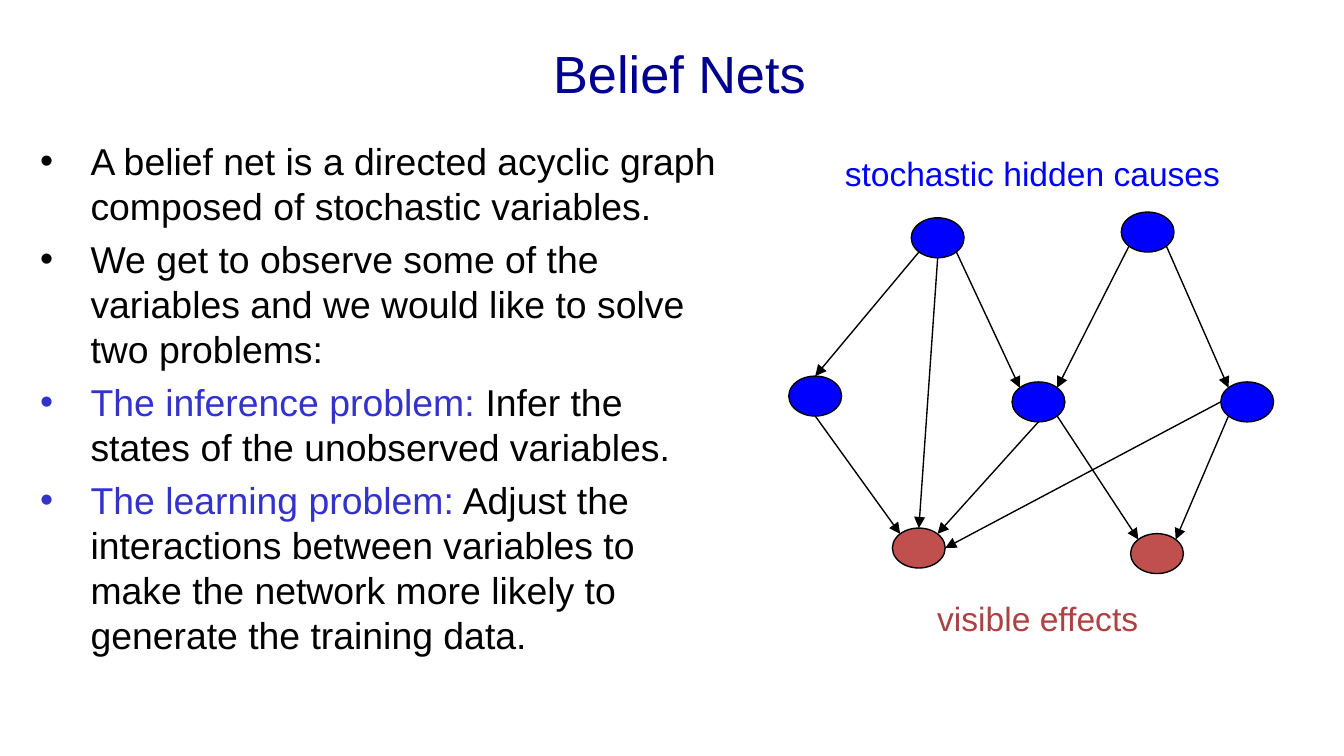
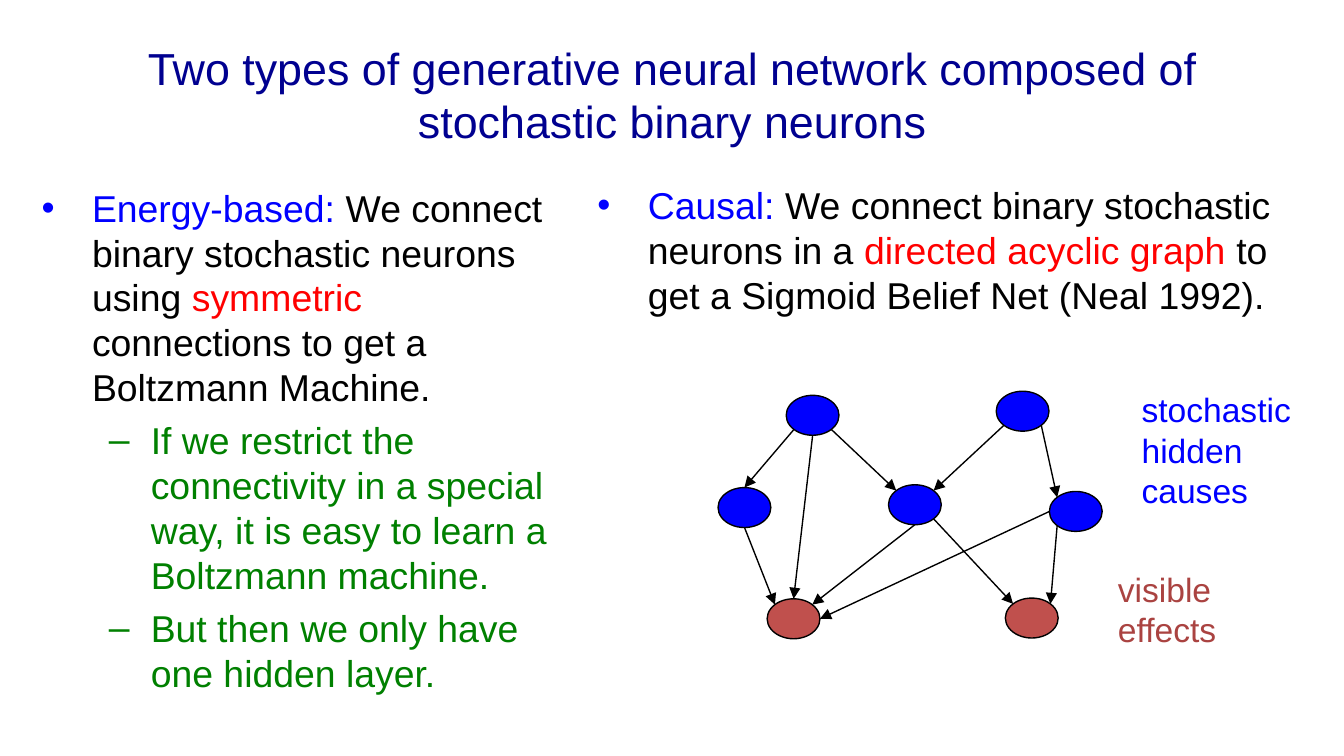
from lxml import etree
from pptx import Presentation
from pptx.dml.color import RGBColor
from pptx.enum.shapes import MSO_CONNECTOR, MSO_SHAPE
from pptx.enum.text import MSO_ANCHOR, PP_ALIGN
from pptx.oxml.ns import qn
from pptx.util import Pt

ELLIPSE = MSO_SHAPE.OVAL
STRAIGHT = MSO_CONNECTOR.STRAIGHT
CENTER = PP_ALIGN.CENTER
MIDDLE = MSO_ANCHOR.MIDDLE

FONT = "Arial"
COLORS = {
    "title": "000090",
    "text": "000000",
    "problem": "3333CC",
    "hidden": "0000FF",
    "visible": "C0504D",
    "visible_label": "AA4341",
    "emphasis": "FF0000",
    "detail": "008000",
    "line": "000000",
}
BODY_SIZE, LABEL_SIZE, LINE_WIDTH = 20, 18, 0.75
PARAGRAPH_GAP = 4.5
NODE_WIDTH, NODE_HEIGHT = 28.3, 21.4

# Bullet character, left margin and hanging indent for each level
LEVELS = [("•", 27, -27), ("–", 58.5, -22.5)]

# Places on a node's rim, as fractions of its half width and half height
DIAGONAL = 0.5 ** 0.5
RIM = {
    "N": (0, -1), "S": (0, 1), "W": (-1, 0), "E": (1, 0),
    "NW": (-DIAGONAL, -DIAGONAL), "NE": (DIAGONAL, -DIAGONAL),
    "SW": (-DIAGONAL, DIAGONAL), "SE": (DIAGONAL, DIAGONAL),
}

# Both networks have the same arrows: (node, rim place) to (node, rim place)
EDGES = [
    ("cause 1", "SW", "middle 1", "N"),
    ("cause 1", "S", "effect 1", "N"),
    ("cause 1", "SE", "middle 2", "NW"),
    ("cause 2", "SW", "middle 2", "NE"),
    ("cause 2", "SE", "middle 3", "NW"),
    ("middle 1", "S", "effect 1", "NW"),
    ("middle 2", "S", "effect 1", "NE"),
    ("middle 2", "SE", "effect 2", "NW"),
    ("middle 3", "W", "effect 1", "E"),
    ("middle 3", "SW", "effect 2", "NE"),
]

# Boxes are (left, top, width, height); a paragraph is (level, [(text, colour)])
SLIDES = [
    {
        "title": ("Belief Nets", 28, (40, 5, 648, 67.7)),
        "bodies": [
            ((14.4, 70.6, 383, 332), [
                (0, [("A belief net is a directed acyclic graph composed of "
                      "stochastic variables.", "text")]),
                (0, [("We get to observe some of the variables and we would "
                      "like to solve two problems:", "text")]),
                (0, [("The inference problem:", "problem"),
                     (" Infer the states of the unobserved variables.", "text")]),
                (0, [("The learning problem:", "problem"),
                     (" Adjust the interactions between variables to make the "
                      "network more likely to generate the training data.", "text")]),
            ]),
        ],
        "nodes": {
            "cause 1": (488.2, 116.7), "cause 2": (600.7, 113.6),
            "middle 1": (422.6, 201.5), "middle 2": (542.2, 204.6),
            "middle 3": (654, 204.6),
            "effect 1": (478.1, 282.9), "effect 2": (605.7, 285.9),
        },
        "labels": [
            ((445.5, 78.5, 236, 29), ["stochastic hidden causes"], "hidden"),
            ((495, 317, 128, 29), ["visible effects"], "visible_label"),
        ],
    },
    {
        "title": ("Two types of generative neural network composed of "
                  "stochastic binary neurons", 24, (36, 16.6, 648, 67.7)),
        "bodies": [
            ((15.2, 95.5, 287, 267), [
                (0, [("Energy-based: ", "hidden"),
                     ("We connect binary stochastic neurons using ", "text"),
                     ("symmetric", "emphasis"),
                     (" connections to get a Boltzmann Machine.", "text")]),
                (1, [("If we restrict the connectivity in a special way, it is "
                      "easy to learn a Boltzmann machine.", "detail")]),
                (1, [("But then we only have one hidden layer.", "detail")]),
            ]),
            ((313, 94.3, 396, 100), [
                (0, [("Causal: ", "hidden"),
                     ("We connect binary stochastic neurons in a ", "text"),
                     ("directed acyclic graph ", "emphasis"),
                     ("to get a Sigmoid Belief Net (Neal 1992).", "text")]),
            ]),
        ],
        "nodes": {
            "cause 1": (421.2, 211.8), "cause 2": (533.7, 209.6),
            "middle 1": (384.7, 261.2), "middle 2": (476, 259.7),
            "middle 3": (562.2, 263.3),
            "effect 1": (411, 320.8), "effect 2": (538.6, 320.4),
        },
        "labels": [
            ((604.5, 205, 115, 73), ["stochastic", "hidden", "causes"], "hidden"),
            ((591.8, 301, 128, 51), ["visible", "effects"], "visible_label"),
        ],
    },
]


def rgb(name):
    return RGBColor.from_string(COLORS[name])


def add_text_box(slide, box):
    frame = slide.shapes.add_textbox(*map(Pt, box)).text_frame
    frame.word_wrap = True
    return frame


def add_run(paragraph, text, size, color):
    run = paragraph.add_run()
    run.text = text
    run.font.name = FONT
    run.font.size = Pt(size)
    run.font.color.rgb = rgb(color)


def next_paragraph(frame, index):
    """Return the paragraph a new box already has, then added ones."""
    return frame.add_paragraph() if index else frame.paragraphs[0]


def add_title(slide, text, size, box):
    frame = add_text_box(slide, box)
    frame.vertical_anchor = MIDDLE
    paragraph = frame.paragraphs[0]
    paragraph.alignment = CENTER
    add_run(paragraph, text, size, "title")


def set_bullet(paragraph, level):
    character, margin, indent = LEVELS[level]
    paragraph.level = level
    properties = paragraph._p.get_or_add_pPr()
    properties.set("marL", str(Pt(margin)))
    properties.set("indent", str(Pt(indent)))
    etree.SubElement(properties, qn("a:buFont")).set("typeface", FONT)
    etree.SubElement(properties, qn("a:buChar")).set("char", character)


def add_body(slide, box, paragraphs):
    frame = add_text_box(slide, box)
    for index, (level, runs) in enumerate(paragraphs):
        paragraph = next_paragraph(frame, index)
        if index:
            paragraph.space_before = Pt(PARAGRAPH_GAP)
        set_bullet(paragraph, level)
        for text, color in runs:
            add_run(paragraph, text, BODY_SIZE, color)


def add_label(slide, box, lines, color):
    frame = add_text_box(slide, box)
    for index, text in enumerate(lines):
        add_run(next_paragraph(frame, index), text, LABEL_SIZE, color)


def rim_point(corner, place):
    across, down = RIM[place]
    return (Pt(corner[0] + NODE_WIDTH / 2 * (1 + across)),
            Pt(corner[1] + NODE_HEIGHT / 2 * (1 + down)))


def add_arrow(slide, start, end):
    arrow = slide.shapes.add_connector(STRAIGHT, *start, *end)
    arrow.line.color.rgb = rgb("line")
    arrow.line.width = Pt(LINE_WIDTH)
    etree.SubElement(arrow.line._get_or_add_ln(), qn("a:tailEnd")).set("type", "triangle")
    etree.SubElement(arrow._element.spPr, qn("a:effectLst"))


def add_network(slide, nodes):
    for name, corner in nodes.items():
        node = slide.shapes.add_shape(
            ELLIPSE, *map(Pt, (*corner, NODE_WIDTH, NODE_HEIGHT)))
        node.shadow.inherit = False
        node.fill.solid()
        node.fill.fore_color.rgb = rgb("visible" if name.startswith("effect") else "hidden")
        node.line.color.rgb = rgb("line")
        node.line.width = Pt(LINE_WIDTH)
    for source, source_place, target, target_place in EDGES:
        add_arrow(slide, rim_point(nodes[source], source_place),
                  rim_point(nodes[target], target_place))


def main():
    presentation = Presentation()
    presentation.slide_width, presentation.slide_height = Pt(720), Pt(405)
    blank = presentation.slide_layouts[6]
    for content in SLIDES:
        slide = presentation.slides.add_slide(blank)
        add_title(slide, *content["title"])
        for box, paragraphs in content["bodies"]:
            add_body(slide, box, paragraphs)
        add_network(slide, content["nodes"])
        for box, lines, color in content["labels"]:
            add_label(slide, box, lines, color)
    presentation.save("out.pptx")


if __name__ == "__main__":
    main()
